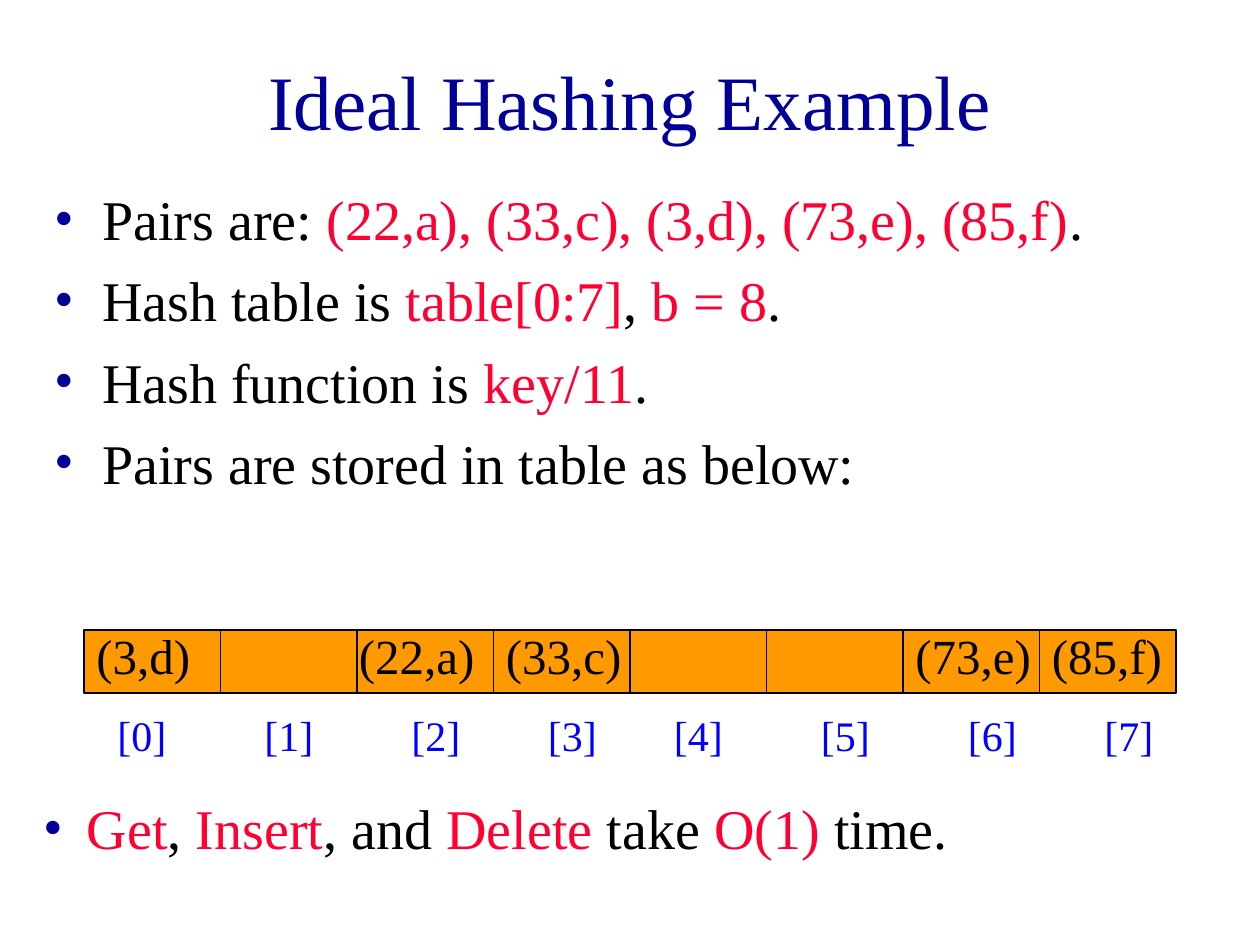
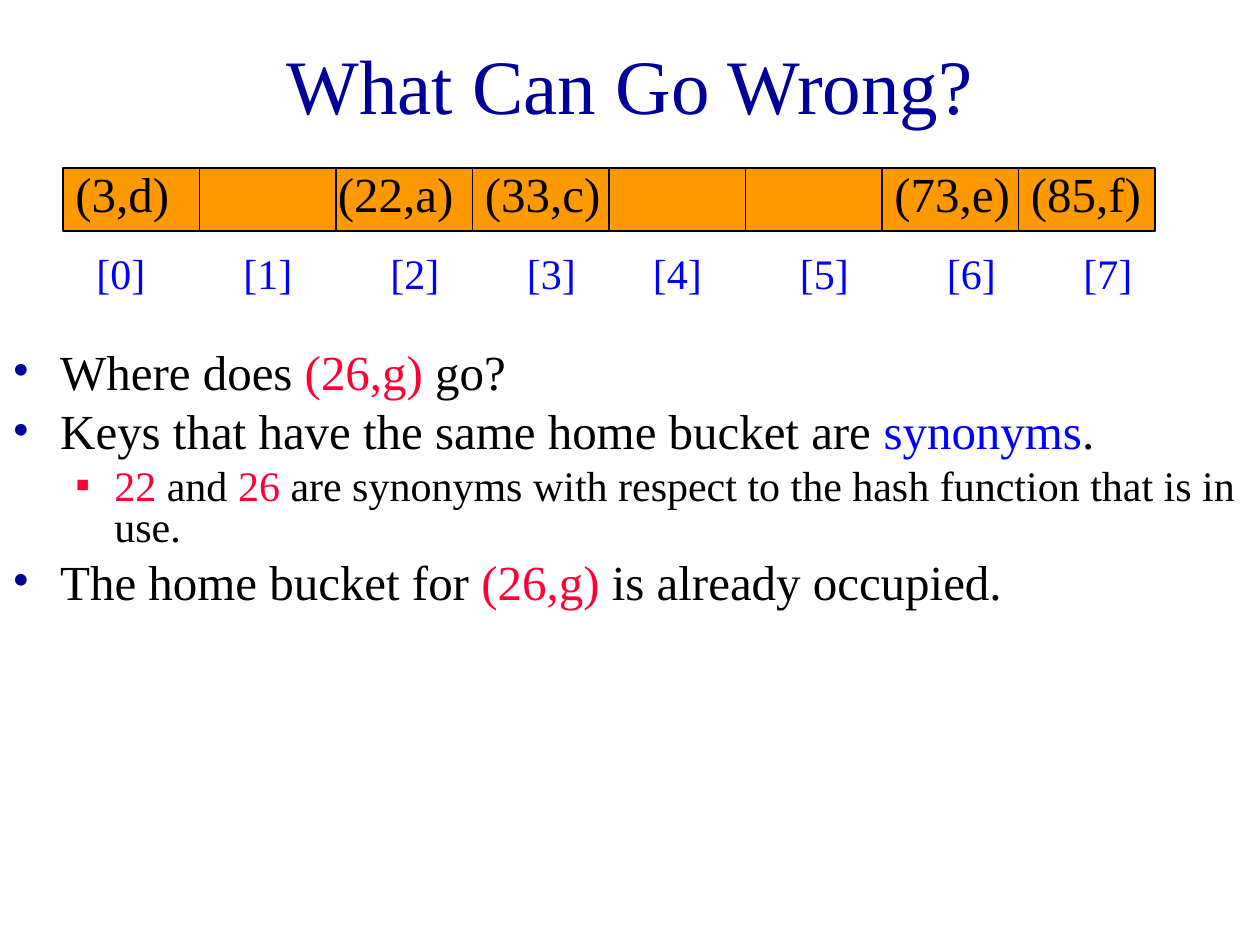
from lxml import etree
from pptx import Presentation
from pptx import util as u
from pptx.dml.color import RGBColor
from pptx.enum import shapes, text
from pptx.oxml.ns import qn

# Content: a plain string is black, a (text, colour) tuple is coloured
NAVY, RED, BLUE, ORANGE, BLACK = "000099", "FF0033", "0000FF", "FF9900", "000000"
FONT = "Times New Roman"

EXAMPLE_TITLE = "Ideal Hashing Example"
EXAMPLE_POINTS = [
    ["Pairs are: ", ("(22,a), (33,c), (3,d), (73,e), (85,f)", RED), "."],
    ["Hash table is ", ("table[0:7]", RED), ", ", ("b = 8", RED), "."],
    ["Hash function is ", ("key/11", RED), "."],
    ["Pairs are stored in table as below:"],
]
COST_POINT = [("Get", RED), ", ", ("Insert", RED), ", and ", ("Delete", RED),
              " take ", ("O(1) ", RED), "time."]

PROBLEM_TITLE = "What Can Go Wrong?"
PROBLEM_POINTS = [
    ["Where does ", ("(26,g)", RED), " go?"],
    ["Keys that have the same home bucket are ", ("synonyms", BLUE), "."],
    [("22", RED), " and ", ("26", RED),
     " are synonyms with respect to the hash function that is in use."],
    ["The home bucket for ", ("(26,g)", RED), " is already occupied."],
]
PROBLEM_LEVELS = [0, 0, 1, 0]

# Bucket contents, and how far each pair and index sits into its bucket
PAIRS = ["(3,d)", "", "(22,a)", "(33,c)", "", "", "(73,e)", "(85,f)"]
PAIR_SHIFTS = [0, 0, -1, 0, 0, 0, 0, 0]
INDEX_SHIFTS = [2, 3, 4, 4, 3, 4, 5, 5]

# Grid: the slide is 120 columns by 90 rows
COLUMNS, ROWS = 120, 90
BUCKET_WIDTH, BUCKET_HEIGHT = 13, 6

deck = Presentation()
deck.slide_width, deck.slide_height = u.Inches(10), u.Inches(7.5)


def place(left, top, width, height):
    """Turn grid columns and rows into slide lengths."""
    across, down = deck.slide_width / COLUMNS, deck.slide_height / ROWS
    return [round(n) for n in (left * across, top * down, width * across, height * down)]


def colour(value):
    return RGBColor.from_string(value)


def set_bullet(para, char, tint, margin, hang):
    props = para._p.get_or_add_pPr()
    props.set("marL", str(u.Inches(margin)))
    props.set("indent", str(-u.Inches(hang)))
    paint = etree.SubElement(props, qn("a:buClr"))
    etree.SubElement(paint, qn("a:srgbClr"), val=tint)
    etree.SubElement(props, qn("a:buFont"), typeface=FONT)
    etree.SubElement(props, qn("a:buChar"), char=char)


def add_text(parent, area, paragraphs, size, tint=BLACK, before=0, line=None,
             align=None, anchor=text.MSO_ANCHOR.TOP, levels=None, hang=0.38):
    """Add a text box; levels gives a bullet level for each paragraph."""
    box = parent.add_textbox(*place(*area))
    frame = box.text_frame
    frame.word_wrap, frame.vertical_anchor = True, anchor
    for i, spans in enumerate(paragraphs):
        para = frame.paragraphs[0] if i == 0 else frame.add_paragraph()
        level = levels[i] if levels else 0
        if levels and level:
            set_bullet(para, "▪", RED, 0.81, 0.31)
        elif levels:
            set_bullet(para, "•", NAVY, hang, hang)
        para.level, para.alignment = level, align
        para.space_before = u.Pt(before - level)
        if line:
            para.line_spacing = line
        for part in spans:
            words, ink = (part, tint) if isinstance(part, str) else part
            span = para.add_run()
            span.text = words
            span.font.name, span.font.size = FONT, u.Pt(size - 4 * level)
            span.font.color.rgb = colour(ink)
    return box


def add_page(title, title_height):
    page = deck.slides.add_slide(deck.slide_layouts[6])
    add_text(page.shapes, (9, 2, 102, title_height), [[title]], 44, tint=NAVY,
             align=text.PP_ALIGN.CENTER, anchor=text.MSO_ANCHOR.MIDDLE)
    return page


def add_hash_table(page, left, top):
    """Draw the row of buckets with indexes below and pairs inside."""
    grid = page.shapes.add_group_shape().shapes
    starts = [left + i * BUCKET_WIDTH for i in range(len(PAIRS))]
    for start in starts:
        bucket = grid.add_shape(shapes.MSO_SHAPE.RECTANGLE,
                                *place(start, top, BUCKET_WIDTH, BUCKET_HEIGHT))
        bucket.shadow.inherit = False
        bucket.fill.solid()
        bucket.fill.fore_color.rgb = colour(ORANGE)
        bucket.line.color.rgb = colour(BLACK)
        bucket.line.width = u.Pt(1)
    for i, (start, shift) in enumerate(zip(starts, INDEX_SHIFTS)):
        add_text(grid, (start + shift, top + 7, 9, 6), [[f"[{i}]"]], 24,
                 tint=BLUE, before=15)
    for start, shift, pair in zip(starts, PAIR_SHIFTS, PAIRS):
        if pair:
            add_text(page.shapes, (start + shift, top - 1, 16, 6.84), [[pair]], 28,
                     before=17.5)


# Slide 1: ideal hashing
example = add_page(EXAMPLE_TITLE, 15)
add_hash_table(example, 8, 60)
add_text(example.shapes, (4, 17, 112, 34), EXAMPLE_POINTS, 32, before=8,
         levels=[0] * len(EXAMPLE_POINTS))
add_text(example.shapes, (3, 75, 117, 7.68), [COST_POINT], 32, before=20,
         levels=[0], hang=0.34)

# Slide 2: collisions
problem = add_page(PROBLEM_TITLE, 12)
add_text(problem.shapes, (0, 33, 120, 26), PROBLEM_POINTS, 28, before=7, line=0.8,
         levels=PROBLEM_LEVELS)
add_hash_table(problem, 6, 16)

deck.save("out.pptx")
